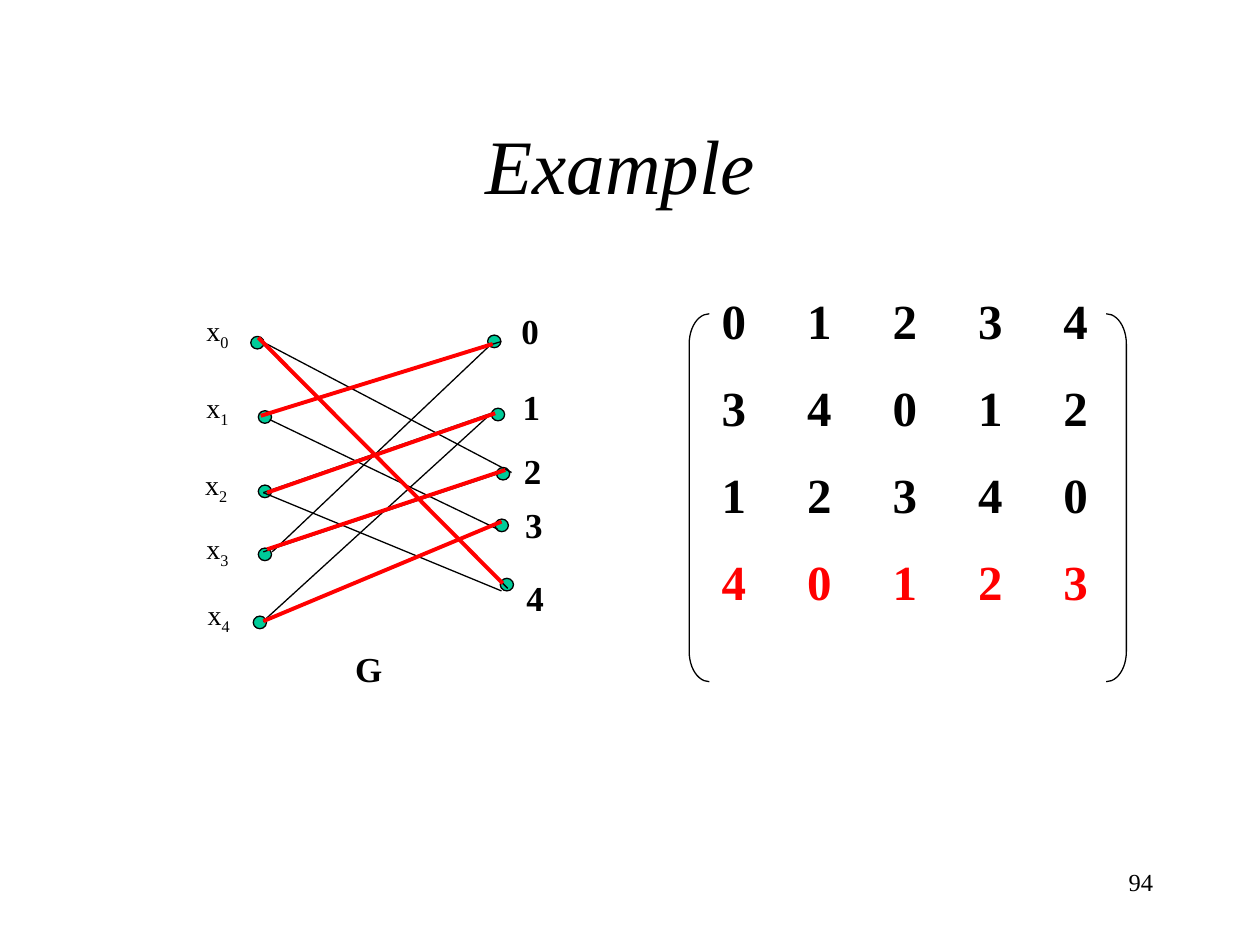
from lxml import etree
from pptx import Presentation
from pptx.dml.color import RGBColor
from pptx.enum.shapes import MSO_CONNECTOR, MSO_SHAPE
from pptx.enum.text import MSO_ANCHOR, PP_ALIGN
from pptx.oxml.ns import qn
from pptx.util import Inches, Pt

LINE = MSO_CONNECTOR.STRAIGHT
OVAL = MSO_SHAPE.OVAL
LEFT, RIGHT = MSO_SHAPE.LEFT_BRACKET, MSO_SHAPE.RIGHT_BRACKET
START, MID, END = PP_ALIGN.LEFT, PP_ALIGN.CENTER, PP_ALIGN.RIGHT
TOP, CENTER = MSO_ANCHOR.TOP, MSO_ANCHOR.MIDDLE

WIDE, HIGH = 10, 7.5
COLS, ROWS = 100, 75

THEME = {
    "font": "Times New Roman",
    "black": RGBColor.from_string("000000"),
    "red": RGBColor.from_string("FF0000"),
    "green": RGBColor.from_string("00CC99"),
    "thin": 0.75,
    "thick": 2.25,
    "title": {"size": Pt(44), "italic": True},
    "cell": {"size": Pt(28), "bold": True},
    "name": {"size": Pt(20), "bold": True},
    "node": {"size": Pt(16)},
    "page": {"size": Pt(14)},
}

WORDS = [
    ("94", (71.7, 68.3, 20.8, 5), "page", END, TOP),
    ("Example ", (7.5, 6.7, 85, 12.5), "title", MID, CENTER),
    ("G", (27.2, 50.9, 9.4, 4.4), "name", START, TOP),
]
MATRIX = ["01234", "34012", "12340", "40123"]
GRID = (56.3, 22.6, 6.78, 6.9)
BRACKETS = [(LEFT, 54.7), (RIGHT, 87.8)]

NODES = [
    ((19.9, 26.7), (15.4, 24.4)),
    ((20.5, 32.6), (15.4, 30.5)),
    ((20.5, 38.5), (15.3, 36.6)),
    ((20.5, 43.5), (15.4, 41.7)),
    ((20.1, 48.9), (15.5, 46.9)),
]
VALUES = [
    ((38.7, 26.6), (40.4, 24.1)),
    ((39.0, 32.4), (40.5, 30.1)),
    ((39.4, 37.1), (40.6, 35.2)),
    ((39.3, 41.2), (40.7, 39.5)),
    ((39.7, 45.9), (40.8, 45.3)),
]
EDGES = [
    (20.6, 27.0, 40.6, 37.5), (21.3, 32.8, 39.8, 27.1),
    (21.4, 33.3, 39.5, 42.0), (20.9, 27.3, 40.3, 46.7),
    (20.9, 39.1, 39.0, 32.8), (20.9, 39.1, 39.8, 46.9),
    (20.9, 43.8, 39.8, 37.5), (21.6, 43.8, 39.0, 27.3),
    (20.9, 49.3, 39.0, 32.8), (20.9, 49.3, 39.8, 41.4),
]
MATCH = [
    (20.5, 26.8, 39.9, 46.3), (20.7, 33.0, 39.1, 27.3),
    (21.2, 39.1, 39.3, 32.8), (21.2, 43.6, 40.1, 37.3),
    (20.9, 49.3, 39.8, 41.4),
]

deck = Presentation()
deck.slide_width, deck.slide_height = Inches(WIDE), Inches(HIGH)
slide = deck.slides.add_slide(deck.slide_layouts[6])
shapes = slide.shapes


def place(box):
    units = (deck.slide_width / COLS, deck.slide_height / ROWS) * 2
    return [round(part * unit) for part, unit in zip(box, units)]


def write(text, box, style, align=START, anchor=TOP, sub="", color="black"):
    frame = shapes.add_textbox(*place(box)).text_frame
    frame.word_wrap = True
    frame.vertical_anchor = anchor
    para = frame.paragraphs[0]
    para.alignment = align
    for part in filter(None, (text, sub)):
        run = para.add_run()
        run.text = part
        for key, value in {"name": THEME["font"], **THEME[style]}.items():
            setattr(run.font, key, value)
        run.font.color.rgb = THEME[color]
    if sub:
        run.font._element.set("baseline", "-25000")


def draw(kind, box, fill=None):
    shape = shapes.add_shape(kind, *place(box))
    shape.shadow.inherit = False
    if fill:
        shape.fill.solid()
        shape.fill.fore_color.rgb = THEME[fill]
    else:
        shape.fill.background()
    shape.line.color.rgb = THEME["black"]
    shape.line.width = Pt(THEME["thin"])
    return shape


def link(ends, color, width):
    edge = shapes.add_connector(LINE, *place(ends))
    edge.line.color.rgb = THEME[color]
    edge.line.width = Pt(THEME[width])
    etree.SubElement(edge._element.spPr, qn("a:effectLst"))


for text, box, style, align, anchor in WORDS:
    write(text, box, style, align, anchor)

left, top, step, drop = GRID
for row, digits in enumerate(MATRIX):
    color = "red" if row == len(MATRIX) - 1 else "black"
    for col, digit in enumerate(digits):
        box = (left + col * step, top + row * drop, step, drop)
        write(digit, box, "cell", color=color)

for kind, x in BRACKETS:
    draw(kind, (x, 24.9, 1.6, 29.2)).adjustments[0] = 1.5

for dot, _ in NODES + VALUES:
    draw(OVAL, (*dot, 1.05, 1), "green")
for ends in EDGES:
    link(ends, "black", "thin")
for i, (_, spot) in enumerate(NODES):
    write("x", (*spot, 5.3, 4.1), "node", sub=str(i))
for i, (_, spot) in enumerate(VALUES):
    write(str(i), (*spot, 5.3, 4.4), "name")
for ends in MATCH:
    link(ends, "red", "thick")

deck.save("out.pptx")
